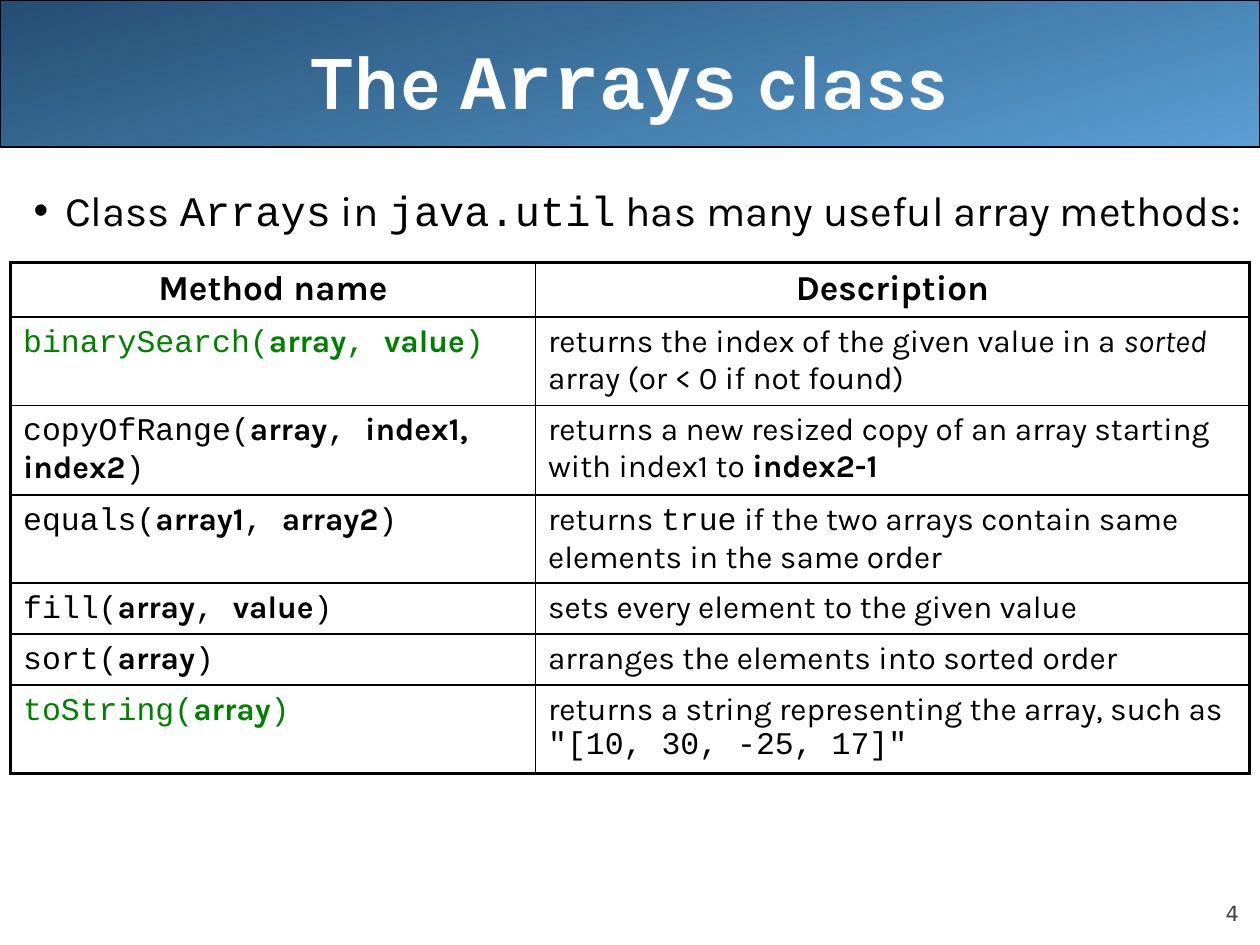
"""Build the slide that introduces the Arrays class and its methods."""
from dataclasses import dataclass

from lxml import etree
from pptx import Presentation
from pptx.dml.color import RGBColor
from pptx.enum.shapes import MSO_SHAPE
from pptx.enum.text import MSO_ANCHOR, MSO_AUTO_SIZE, PP_ALIGN
from pptx.oxml.ns import qn
from pptx.util import Inches, Pt

BLACK = RGBColor(0x00, 0x00, 0x00)
WHITE = RGBColor(0xFF, 0xFF, 0xFF)
GREEN = RGBColor(0x00, 0x80, 0x00)
GREY = RGBColor(0x42, 0x42, 0x42)
BANNER_DARK = RGBColor(0x24, 0x4E, 0x72)
BANNER_LIGHT = RGBColor(0x5A, 0x9F, 0xD4)

ROUNDED = MSO_SHAPE.ROUNDED_RECTANGLE
MIDDLE, BOTTOM = MSO_ANCHOR.MIDDLE, MSO_ANCHOR.BOTTOM
TOP = MSO_ANCHOR.TOP
LEFT, CENTER, RIGHT = PP_ALIGN.LEFT, PP_ALIGN.CENTER, PP_ALIGN.RIGHT
NO_AUTOFIT = MSO_AUTO_SIZE.NONE

SLIDE_WIDTH, SLIDE_HEIGHT = Inches(10), Inches(7.5)
GRID_COLUMNS = 120
UNIT = SLIDE_WIDTH / GRID_COLUMNS

PROSE, CODE, NUMERAL = "Karla", "Courier New", "DejaVu Sans"
OUTER_LINE, INNER_LINE = Pt(2.25), Pt(1)


@dataclass(frozen=True)
class Span:
    """A stretch of text in one font."""
    text: str
    font: str = PROSE
    bold: bool = False
    italic: bool = False


@dataclass(frozen=True)
class Method:
    """One method of the class, as a table row."""
    signature: list[Span]
    description: list[Span]
    height: float
    color: RGBColor = BLACK


def code(text: str, bold: bool = False) -> Span:
    """Return a span of program text."""
    return Span(text, CODE, bold)


def call(name: str, *arguments: str) -> list[Span]:
    """Return the spans of a method call with bold arguments."""
    spans = [code(f"{name}(")]
    for position, argument in enumerate(arguments):
        if position:
            spans.append(code(", "))
        spans.append(Span(argument, bold=True))
    return spans + [code(")")]


ONE_LINE, TWO_LINES, HEADER_HEIGHT = 4.8, 8.4, 5.2
METHOD_COLUMNS = (50, 68)
HEADINGS = ("Method name", "Description")
METHODS = [
    Method(call("binarySearch", "array", "value"),
           [Span("returns the index of the given value in a "), Span("sorted", italic=True),
            Span(" array (or < 0 if not found)")], TWO_LINES, GREEN),
    Method(call("copyOfRange", "array", "index1, index2"),
           [Span("returns a new resized copy of an array starting with index1 to "),
            Span("index2-1", bold=True)], TWO_LINES),
    Method(call("equals", "array1", "array2"),
           [Span("returns "), code("true"),
            Span(" if the two arrays contain same elements in the same order")], TWO_LINES),
    Method(call("fill", "array", "value"),
           [Span("sets every element to the given value")], ONE_LINE),
    Method(call("sort", "array"),
           [Span("arranges the elements into sorted order")], ONE_LINE),
    Method(call("toString", "array"),
           [Span("returns a string representing the array, such as "),
            code('"[10, 30, -25, 17]"')], TWO_LINES, GREEN),
]


def grid(*cells: float) -> list[int]:
    """Turn grid counts into lengths."""
    return [round(count * UNIT) for count in cells]


def place(shape, *cells: float) -> None:
    """Set a shape's left, top, width and height on the grid."""
    shape.left, shape.top, shape.width, shape.height = grid(*cells)


def write(paragraph, spans: list[Span], size: float, color: RGBColor, align=LEFT) -> None:
    """Add spans to a paragraph, run by run."""
    paragraph.alignment = align
    for span in spans:
        run = paragraph.add_run()
        run.text = span.text
        font = run.font
        font.name, font.size = span.font, Pt(size)
        font.bold, font.italic = span.bold, span.italic
        font.color.rgb = color


def space_by_share(paragraph, percent: int) -> None:
    """Set the space before a paragraph as a share of its line."""
    properties = paragraph._p.get_or_add_pPr()
    spacing = etree.Element(qn("a:spcBef"))
    etree.SubElement(spacing, qn("a:spcPct"), val=str(percent * 1000))
    properties.insert(0, spacing)


def draw_border(cell, side: str, width: int) -> None:
    """Draw one black side of a table cell."""
    properties = cell._tc.get_or_add_tcPr()
    line = etree.SubElement(properties, qn(f"a:ln{side}"), w=str(width))
    fill = etree.SubElement(line, qn("a:solidFill"))
    etree.SubElement(fill, qn("a:srgbClr"), val=str(BLACK))


def draw_banner(slide) -> None:
    """Draw the gradient band behind the title."""
    banner = slide.shapes.add_shape(ROUNDED, *grid(0, 0, GRID_COLUMNS, 14))
    banner.adjustments[0] = 0
    banner.shadow.inherit = False
    banner.fill.gradient()
    banner.fill.gradient_angle = 285
    for stop, color in zip(banner.fill.gradient_stops, (BANNER_DARK, BANNER_LIGHT)):
        stop.color.rgb = color
    banner.line.color.rgb = BLACK
    banner.line.width = Pt(0.75)
    slide.shapes.element.insert(2, banner.element)


def write_title(title) -> None:
    """Place and fill the title."""
    place(title, 6, 0, 108, 15)
    frame = title.text_frame
    frame.auto_size, frame.vertical_anchor = NO_AUTOFIT, MIDDLE
    spans = [Span("The ", bold=True), code("Arrays", bold=True), Span(" class", bold=True)]
    write(frame.paragraphs[0], spans, 44, WHITE, CENTER)


def write_body(body) -> None:
    """Place and fill the bulleted introduction."""
    place(body, 2, 17, 118, 68)
    frame = body.text_frame
    frame.auto_size, frame.vertical_anchor = NO_AUTOFIT, TOP
    paragraph = frame.paragraphs[0]
    spans = [Span("Class "), code("Arrays"), Span(" in "), code("java.util"),
             Span(" has many useful array methods:")]
    write(paragraph, spans, 24, BLACK)
    space_by_share(paragraph, 20)
    properties = paragraph._p.get_or_add_pPr()
    properties.set("marL", str(Inches(0.25)))
    properties.set("indent", str(-Inches(0.25)))
    etree.SubElement(properties, qn("a:buChar"), char="•")


def fill_cell(cell, spans: list[Span], size: float, color: RGBColor, align=LEFT) -> None:
    """Write a table cell on white."""
    paragraph = cell.text_frame.paragraphs[0]
    write(paragraph, spans, size, color, align)
    space_by_share(paragraph, 20)
    cell.fill.solid()
    cell.fill.fore_color.rgb = WHITE


def draw_methods(slide) -> None:
    """Draw the table of methods with a heavy outer frame."""
    heights = [HEADER_HEIGHT] + [method.height for method in METHODS]
    last_row, last_column = len(METHODS), len(HEADINGS) - 1
    table = slide.shapes.add_table(
        last_row + 1, last_column + 1, *grid(1, 25, sum(METHOD_COLUMNS), sum(heights))).table
    table.first_row = table.horz_banding = False
    for column, width in zip(table.columns, grid(*METHOD_COLUMNS)):
        column.width = width
    for row, height in zip(table.rows, grid(*heights)):
        row.height = height
    for row in range(last_row + 1):
        for column in range(last_column + 1):
            outer = {"L": column == 0, "R": column == last_column,
                     "T": row == 0, "B": row == last_row}
            for side, is_outer in outer.items():
                draw_border(table.cell(row, column), side, OUTER_LINE if is_outer else INNER_LINE)
    for column, heading in enumerate(HEADINGS):
        fill_cell(table.cell(0, column), [Span(heading, bold=True)], 20, BLACK, CENTER)
    for row, method in enumerate(METHODS, start=1):
        fill_cell(table.cell(row, 0), method.signature, 18, method.color)
        fill_cell(table.cell(row, 1), method.description, 18, BLACK)


def write_page_number(slide) -> None:
    """Write the page number at the lower right."""
    frame = slide.shapes.add_textbox(*grid(108, 83.4, 10, 4.8)).text_frame
    frame.word_wrap, frame.vertical_anchor = True, BOTTOM
    frame.margin_left = frame.margin_right = frame.margin_top = frame.margin_bottom = 0
    write(frame.paragraphs[0], [Span("4", NUMERAL)], 12, GREY, RIGHT)
    frame.paragraphs[0].space_before = Pt(5)


def main() -> None:
    """Build and save the slide."""
    deck = Presentation()
    deck.slide_width, deck.slide_height = SLIDE_WIDTH, SLIDE_HEIGHT
    slide = deck.slides.add_slide(deck.slide_layouts[1])
    draw_banner(slide)
    write_title(slide.shapes.title)
    write_body(slide.placeholders[1])
    draw_methods(slide)
    write_page_number(slide)
    deck.save("out.pptx")


if __name__ == "__main__":
    main()
